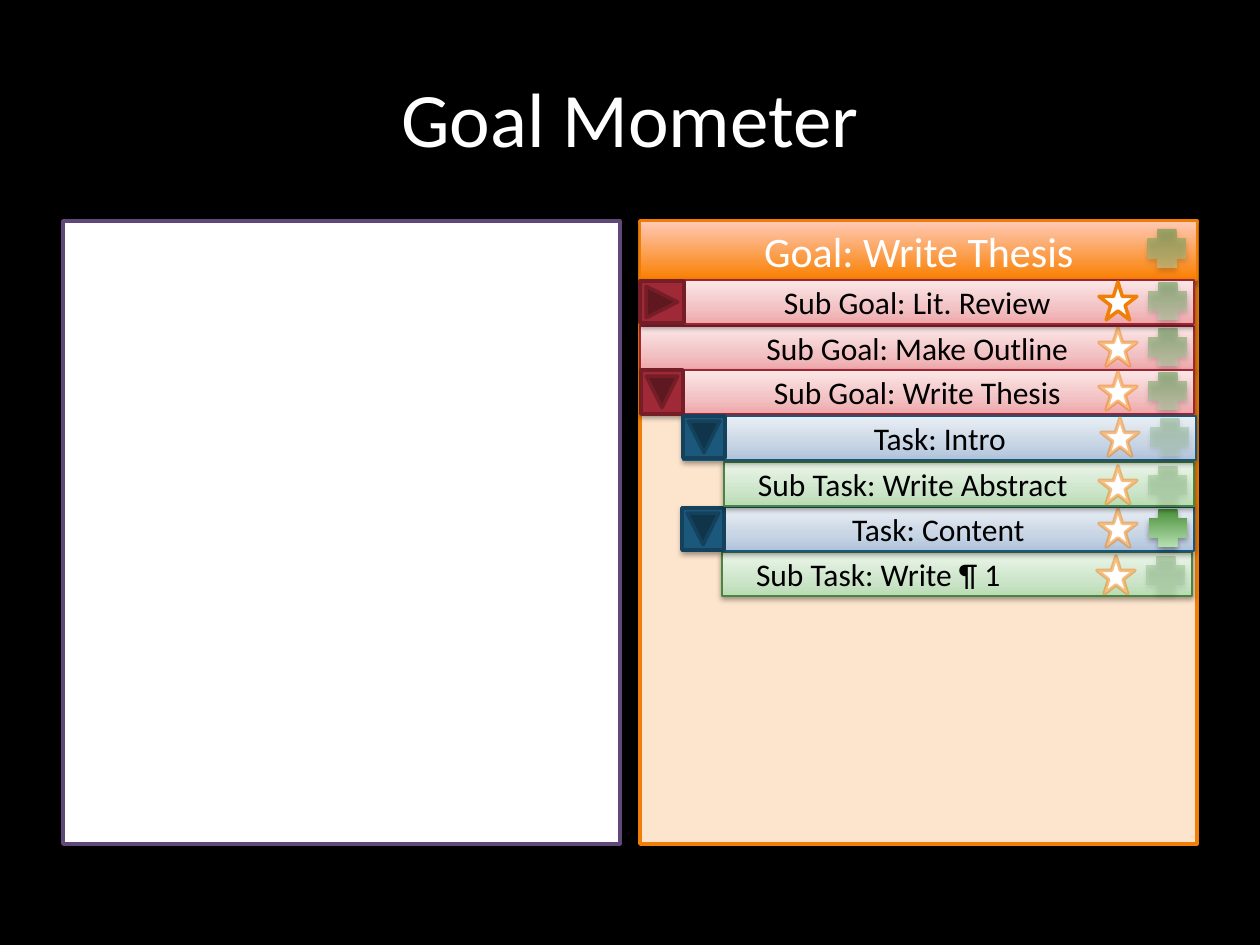
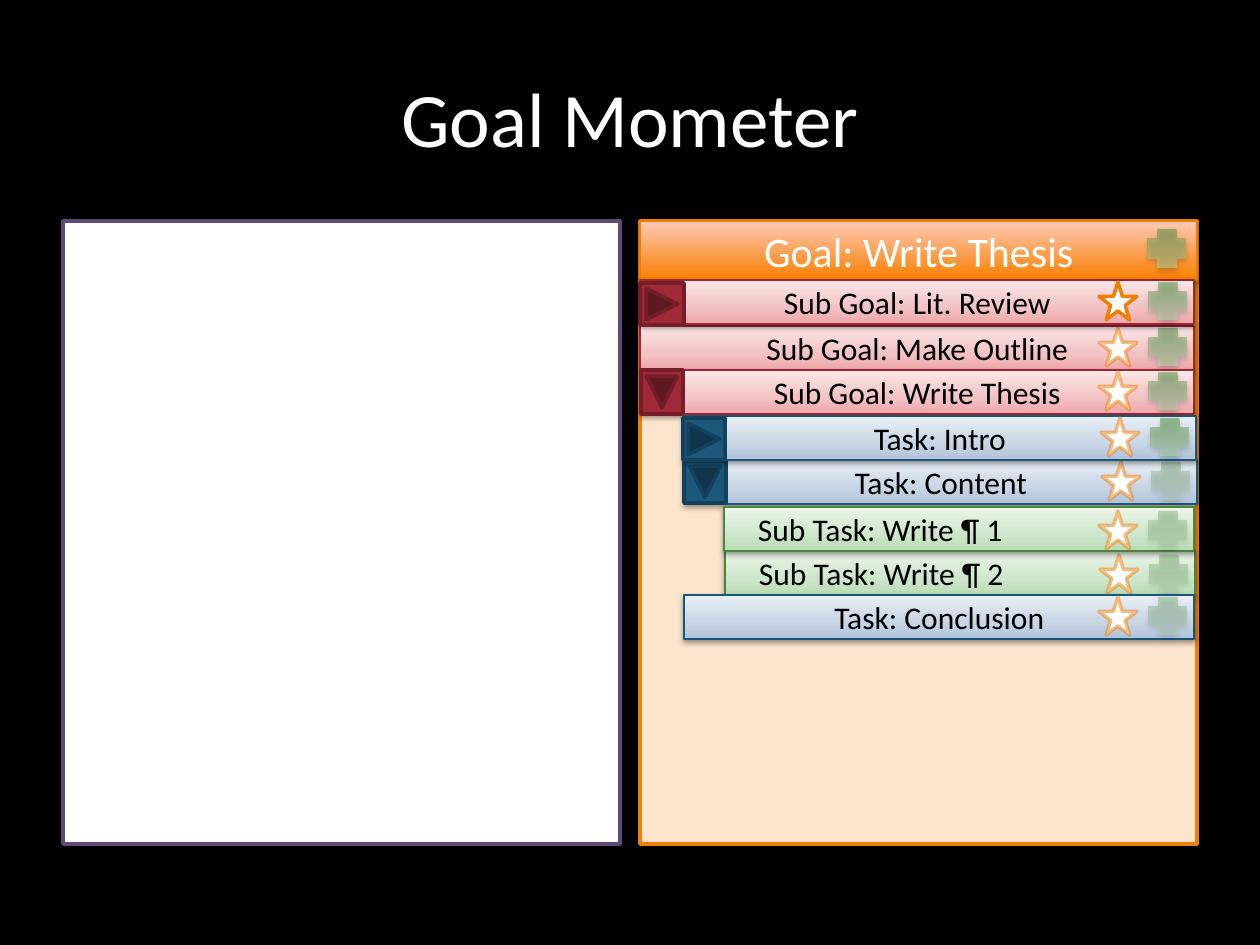
"""Build two slides showing a goal tracker with its sub goals, tasks and sub tasks."""
from dataclasses import dataclass

from lxml import etree
from pptx import Presentation
from pptx.dml.color import RGBColor
from pptx.enum.shapes import MSO_SHAPE
from pptx.enum.text import MSO_ANCHOR, PP_ALIGN
from pptx.oxml.ns import qn
from pptx.util import Pt

RECTANGLE = MSO_SHAPE.RECTANGLE
PLUS = MSO_SHAPE.CROSS
STAR = MSO_SHAPE.STAR_5_POINT
BUTTON = MSO_SHAPE.ACTION_BUTTON_FORWARD_OR_NEXT
LEFT, CENTER = PP_ALIGN.LEFT, PP_ALIGN.CENTER
MIDDLE = MSO_ANCHOR.MIDDLE
SCALE = 914400 / 126


@dataclass(frozen=True)
class Theme:
    font: str = "Calibri"
    title_size: int = 44
    header_size: int = 24
    row_size: int = 18
    thin: float = 0.75
    thick: float = 2
    background: str = "000000"
    light: str = "FFFFFF"
    dark: str = "000000"
    blank_line: str = "604878"
    goal_fill: str = "FDE5CD"
    goal_line: str = "F07F09"
    header_line: str = "F07C03"
    header_stops: tuple = ((0, "F97F00"), (100, "FFC9B5"))
    plus_stops: tuple = ((0, "488F38"), (100, "B5DFAF"))


@dataclass(frozen=True)
class Level:
    stops: tuple
    line: str
    button_fill: str
    button_line: str
    button_width: int
    icon_drop: int
    align: PP_ALIGN
    margin: int


theme = Theme()
GOAL = Level(((0, "EEA6A9"), (35, "F2C1C3"), (100, "FBE7E7")), "9E2533",
             "9F2936", "761E28", 44, 2, CENTER, 13)
TASK = Level(((0, "AFC2DA"), (35, "C7D4E4"), (100, "EAEFF5")), "18577C",
             "1B587C", "14415C", 42, 2, CENTER, 13)
SUB_TASK = Level(((0, "B8DCB3"), (35, "CDE5CA"), (100, "ECF6EA")), "4B843F",
                 "", "", 0, 4, LEFT, 34)

NO_BUTTON, CLOSED, OPEN = None, 0, 90
OUTLINE = (GOAL, "Sub Goal: Make Outline", 640, 1194, 326, 50, 50, NO_BUTTON, 0)
THESIS = (GOAL, "Sub Goal: Write Thesis", 640, 1194, 370, 50, 50, OPEN, 1)
REVIEW = (GOAL, "Sub Goal: Lit. Review", 640, 1194, 280, 50, 100, CLOSED)
INTRO = (TASK, "Task: Intro", 683, 1196, 416)
slide_rows = [
    [
        (SUB_TASK, "Sub Task: Write ¶ 1", 722, 1192, 552, 30, 50, NO_BUTTON, 0),
        (TASK, "Task: Content", 682, 1194, 507, 100, 50, OPEN, 1),
        OUTLINE,
        (*REVIEW, 1),
        THESIS,
        (SUB_TASK, "Sub Task: Write Abstract", 724, 1194, 462, 30, 50, NO_BUTTON, 0),
        (*INTRO, 30, 50, OPEN, 0),
    ],
    [
        (TASK, "Task: Content", 684, 1197, 460, 30, 50, OPEN, 1),
        (SUB_TASK, "Sub Task: Write ¶ 2", 725, 1195, 551, 30, 50, NO_BUTTON, 0),
        OUTLINE,
        (*REVIEW, 3),
        THESIS,
        (*INTRO, 50, 50, CLOSED, 2),
        (SUB_TASK, "Sub Task: Write ¶ 1", 724, 1194, 507, 30, 50, NO_BUTTON, 0),
        (TASK, "Task: Conclusion", 684, 1194, 595, 30, 50, NO_BUTTON, 0),
    ],
]


def draw(page, preset, bounds, fill, line=None, width=0, alpha=100, shadow=0):
    """Draw a shape; alpha applies to its gradient or, for a plain fill, its line."""
    shape = page.shapes.add_shape(preset, *(round(px * SCALE) for px in bounds))
    shape.shadow.inherit = False
    properties = shape.element.spPr
    faded = []
    if isinstance(fill, str):
        shape.fill.solid()
        shape.fill.fore_color.rgb = RGBColor.from_string(fill)
    else:
        shape.fill.gradient()
        shape.fill.gradient_angle = 90
        stops = properties.find(".//" + qn("a:gsLst"))
        stops[:] = []
        for position, color in fill:
            stop = etree.SubElement(stops, qn("a:gs"), pos=str(position * 1000))
            faded.append(etree.SubElement(stop, qn("a:srgbClr"), val=color))
    if line:
        shape.line.color.rgb = RGBColor.from_string(line)
        shape.line.width = Pt(width)
        if isinstance(fill, str):
            faded.append(properties.find(qn("a:ln")).find(".//" + qn("a:srgbClr")))
    else:
        shape.line.fill.background()
    if alpha < 100:
        for color in faded:
            etree.SubElement(color, qn("a:alpha"), val=str(alpha * 1000))
    if shadow:
        outer = etree.SubElement(properties.find(qn("a:effectLst")), qn("a:outerShdw"),
                                 blurRad="40000", dist=str(Pt(1.8 if shadow == 35 else 1.6)),
                                 dir="5400000", rotWithShape="0")
        shade = etree.SubElement(outer, qn("a:srgbClr"), val=theme.dark)
        etree.SubElement(shade, qn("a:alpha"), val=str(shadow * 1000))
    if preset == PLUS:
        properties.find(qn("a:xfrm")).set("flipV", "1")
    return shape


def write(shape, text, size, color, align=CENTER, margin=13):
    """Write one line of text, vertically centred, in a shape."""
    frame = shape.text_frame
    frame.word_wrap = True
    frame.vertical_anchor = MIDDLE
    frame.margin_left = round(margin * SCALE)
    para = frame.paragraphs[0]
    para.alignment = align
    span = para.add_run()
    span.text = text
    span.font.name = theme.font
    span.font.size = Pt(size)
    span.font.color.rgb = RGBColor.from_string(color)


deck = Presentation()
deck.slide_width = round(1260 * SCALE)
deck.slide_height = round(945 * SCALE)

for rows in slide_rows:
    page = deck.slides.add_slide(deck.slide_layouts[5])
    page.background.fill.solid()
    page.background.fill.fore_color.rgb = RGBColor.from_string(theme.background)

    title = page.shapes.title
    title.left, title.top, title.width, title.height = (
        round(px * SCALE) for px in (63, 38, 1134, 157))
    write(title, "Goal Mometer", theme.title_size, theme.light)

    draw(page, RECTANGLE, (63, 221, 557, 623), theme.light, theme.blank_line, theme.thick)
    draw(page, RECTANGLE, (640, 221, 557, 623), theme.goal_fill, theme.goal_line, theme.thick)
    header = draw(page, RECTANGLE, (640, 221, 557, 59), theme.header_stops,
                  theme.header_line, theme.thin, shadow=35)
    write(header, "Goal: Write Thesis", theme.header_size, theme.light)
    draw(page, PLUS, (1148, 229, 38, 39), theme.plus_stops, alpha=50, shadow=35)

    for level, label, left, right, top, plus_alpha, star_alpha, turn, button_drop in rows:
        bar = draw(page, RECTANGLE, (left, top, right - left, 44), level.stops,
                   level.line, theme.thin, shadow=38)
        write(bar, label, theme.row_size, theme.dark, level.align, level.margin)
        icon_top = top + level.icon_drop
        draw(page, PLUS, (right - 45, icon_top, 38, 38), theme.plus_stops,
             alpha=plus_alpha, shadow=35)
        draw(page, STAR, (right - 95, icon_top, 38, 38), theme.light,
             theme.goal_line, theme.thick, alpha=star_alpha)
        if turn is not NO_BUTTON:
            button = draw(page, BUTTON, (left, top + button_drop, level.button_width, 42),
                          level.button_fill, level.button_line, theme.thick)
            button.rotation = turn

deck.save("out.pptx")
